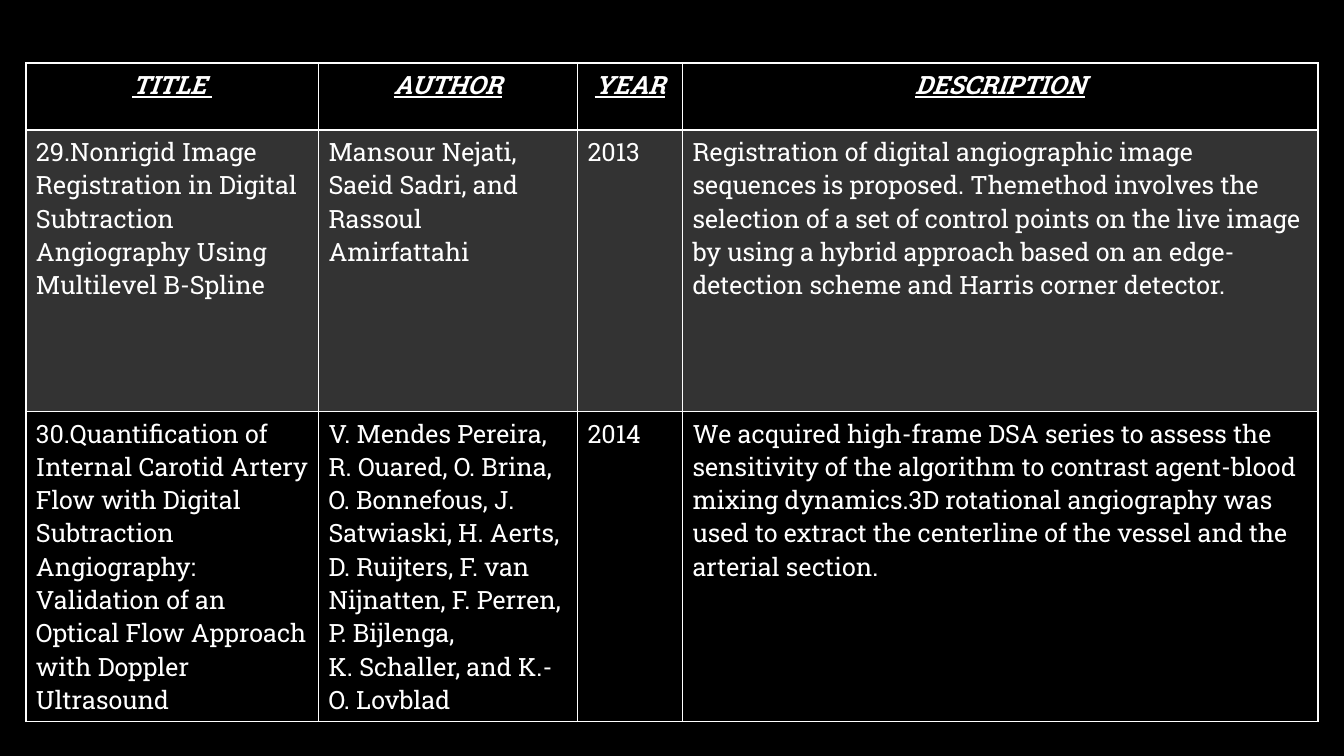
"""Build a literature survey slide with a table of two angiography papers."""
from lxml import etree
from pptx import Presentation
from pptx import util as u
from pptx.dml.color import RGBColor
from pptx.enum import text
from pptx.oxml import ns

BLACK = RGBColor(0x00, 0x00, 0x00)
WHITE = RGBColor(0xFF, 0xFF, 0xFF)
FONT = "Roboto Slab"
COLUMN_WIDTHS = [209, 185, 75, 454]
ROW_HEIGHTS = [48, 201, 221]
PAPERS = [
    ["TITLE ", "AUTHOR", "YEAR", "DESCRIPTION"],
    [
        "29.Nonrigid Image Registration in Digital Subtraction Angiography "
        "Using Multilevel B-Spline",
        "Mansour Nejati, Saeid Sadri, and Rassoul Amirfattahi",
        "2013",
        "Registration of digital angiographic image sequences is proposed. "
        "Themethod involves the selection of a set of control points on the "
        "live image by using a hybrid approach based on an edge-detection "
        "scheme and Harris corner detector.",
    ],
    [
        "30.Quantification of Internal Carotid Artery Flow with Digital "
        "Subtraction Angiography: Validation of an Optical Flow Approach "
        "with Doppler Ultrasound",
        "V. Mendes Pereira, R. Ouared, O. Brina, O. Bonnefous, J. Satwiaski, "
        "H. Aerts, D. Ruijters, F. van Nijnatten, F. Perren, P. Bijlenga,\v"
        "K. Schaller, and K.-O. Lovblad",
        "2014",
        "We acquired high-frame DSA series to assess the sensitivity of the "
        "algorithm to contrast agent-blood mixing dynamics.3D rotational "
        "angiography was used to extract the centerline of the vessel and "
        "the arterial section.",
    ],
]


def add_borders(cell, widths):
    """Draw white left, right, top and bottom borders of the given widths."""
    properties = cell._tc.get_or_add_tcPr()
    for position, (side, width) in enumerate(zip("LRTB", widths)):
        line = etree.Element(ns.qn(f"a:ln{side}"), w=str(u.Pt(width)))
        solid = etree.SubElement(line, ns.qn("a:solidFill"))
        etree.SubElement(solid, ns.qn("a:srgbClr"), val=str(WHITE))
        properties.insert(position, line)


deck = Presentation()
deck.slide_width, deck.slide_height = u.Pt(960), u.Pt(540)
slide = deck.slides.add_slide(deck.slide_layouts[6])
slide.background.fill.solid()
slide.background.fill.fore_color.rgb = BLACK

survey = slide.shapes.add_table(
    len(ROW_HEIGHTS), len(COLUMN_WIDTHS), u.Pt(18.5), u.Pt(45),
    u.Pt(sum(COLUMN_WIDTHS)), u.Pt(sum(ROW_HEIGHTS))).table
for column, width in zip(survey.columns, COLUMN_WIDTHS):
    column.width = u.Pt(width)
for row, height in zip(survey.rows, ROW_HEIGHTS):
    row.height = u.Pt(height)

for row_number, paper in enumerate(PAPERS):
    heading = row_number == 0
    for column_number, entry in enumerate(paper):
        cell = survey.cell(row_number, column_number)
        if row_number == 1:
            cell.fill.solid()
            cell.fill.fore_color.rgb = WHITE
            tint = cell._tc.tcPr.find(".//" + ns.qn("a:srgbClr"))
            etree.SubElement(tint, ns.qn("a:alpha"), val="20000")
        else:
            cell.fill.background()
        add_borders(cell, [1, 1, 2 if row_number == 1 else 1, 2 if heading else 1])

        paragraph = cell.text_frame.paragraphs[0]
        paragraph.text = entry
        paragraph.alignment = text.PP_ALIGN.CENTER if heading else text.PP_ALIGN.LEFT
        for run in paragraph.runs:
            run.font.name = FONT
            run.font.size = u.Pt(18)
            run.font.color.rgb = WHITE
            run.font.bold = run.font.italic = run.font.underline = heading

deck.save("out.pptx")
